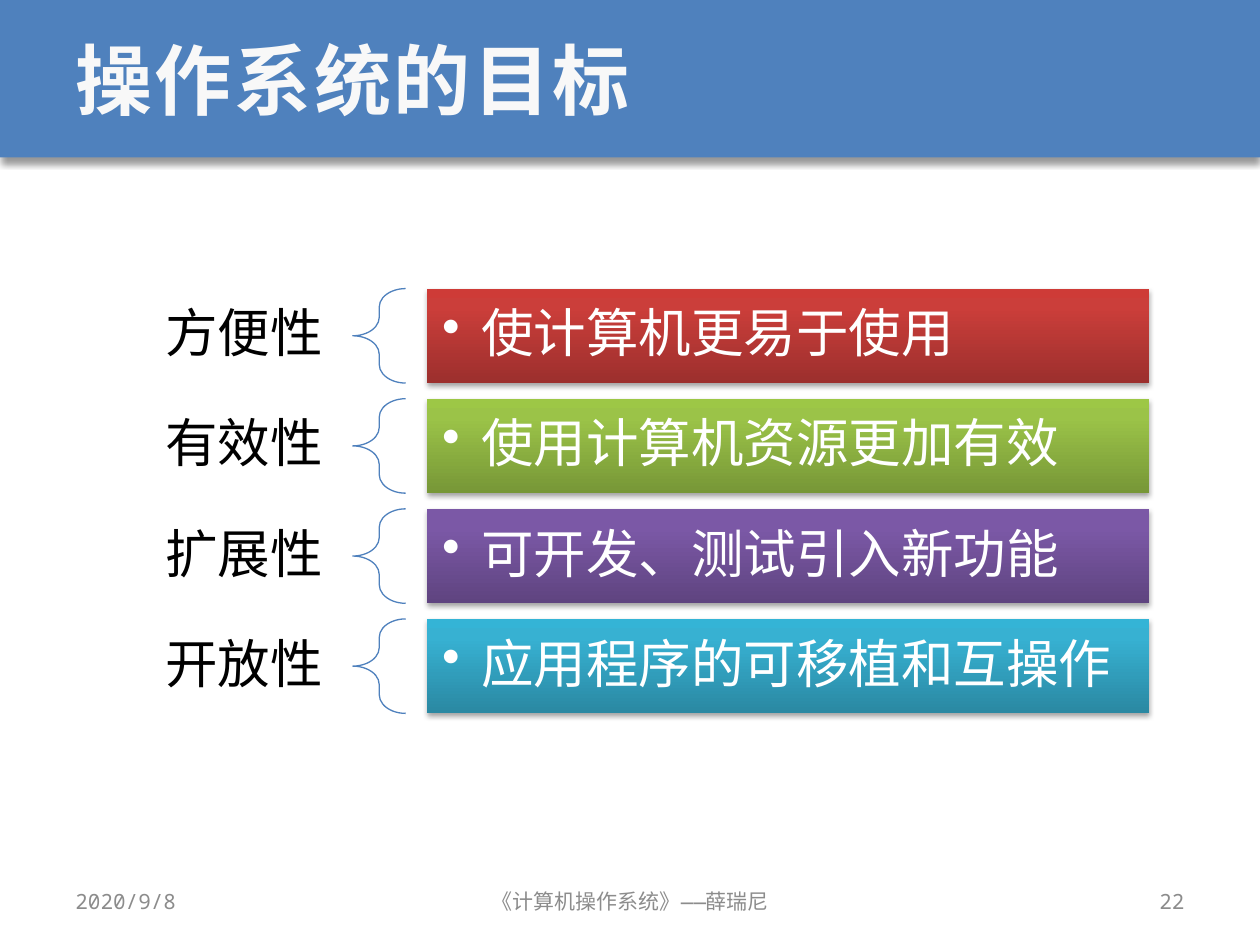
from copy import deepcopy
from dataclasses import dataclass

from lxml import etree
from pptx import Presentation
from pptx import util as u
from pptx.dml.color import RGBColor
from pptx.enum import shapes, text
from pptx.oxml.ns import qn

WIDTH, HEIGHT = 10, 7.5
COLORS = {"blue": "4F81BD", "title": "F8F8F8", "footer": "8C8C8C",
          "black": "000000", "white": "FFFFFF"}
MONO, SANS = "Noto Sans Mono", "Arial"
ALIGN = text.PP_ALIGN

# Rows of the goal list
FIRST_ROW, ROW_PITCH, ROW_HEIGHT = 2.29, 0.874, 0.75
LABEL_LEFT, LABEL_WIDTH, LABEL_HEIGHT = 0.23, 2.56, 0.67
BRACE_LEFT, BRACE_WIDTH = 2.8, 0.42
BAR_LEFT, BAR_WIDTH = 3.39, 5.73


@dataclass
class Goal:
    name: str
    detail: str
    gradient: tuple[str, str, str]  # from bottom to top


@dataclass
class Style:
    size: float
    font: str
    color: str
    align: ALIGN = ALIGN.LEFT
    bold: bool = False
    line_spacing: float = 1.0
    insets: tuple[float, float] = (0.1, 0.05)  # horizontal, vertical


GOALS = [
    Goal("方便性", "使计算机更易于使用", ("9C2F2D", "CB3E3A", "CE3B37")),
    Goal("有效性", "使用计算机资源更加有效", ("779737", "9BC348", "9DC746")),
    Goal("扩展性", "可开发、测试引入新功能", ("5F4480", "7B58A6", "7C57A8")),
    Goal("开放性", "应用程序的可移植和互操作", ("2A88A2", "37B1D2", "34B4D6")),
]
TITLE = Style(44, MONO, "title", bold=True)
LABEL = Style(30, SANS, "black", ALIGN.RIGHT, line_spacing=0.9, insets=(0.23, 0.08))
DETAIL = Style(30, SANS, "white", line_spacing=0.9, insets=(0.12, 0.12))


def rgb(value: str) -> RGBColor:
    return RGBColor.from_string(value)


def inches(*lengths: float) -> list[u.Length]:
    return [u.Inches(length) for length in lengths]


def add_text(page, words: str, place: tuple, style: Style, bullet: bool = False):
    """Add a one-paragraph text box and return its run."""
    frame = page.shapes.add_textbox(*inches(*place)).text_frame
    frame.word_wrap = True
    frame.vertical_anchor = text.MSO_ANCHOR.MIDDLE
    frame.margin_left = frame.margin_right = u.Inches(style.insets[0])
    frame.margin_top = frame.margin_bottom = u.Inches(style.insets[1])
    para = frame.paragraphs[0]
    para.text = words
    para.alignment = style.align
    para.line_spacing = style.line_spacing
    if bullet:
        para.level = 1
        props = para._p.get_or_add_pPr()
        props.set("marL", str(u.Inches(0.31)))
        props.set("indent", str(u.Inches(-0.31)))
        etree.SubElement(props, qn("a:buChar"), char="•")
    span = para.runs[0]
    span.font.size = u.Pt(style.size)
    span.font.name = style.font
    span.font.bold = style.bold
    span.font.color.rgb = rgb(COLORS[style.color])
    etree.SubElement(span._r.get_or_add_rPr(), qn("a:ea"), typeface=style.font)
    return span


def add_shadow(shape, alpha: int, blur: float, distance: float) -> None:
    """Cast a black shadow straight down."""
    shape.shadow.inherit = False
    effects = shape._element.spPr.find(qn("a:effectLst"))
    outer = etree.SubElement(effects, qn("a:outerShdw"), blurRad=str(u.Pt(blur)),
                             dist=str(u.Pt(distance)), dir="5400000", rotWithShape="0")
    black = etree.SubElement(outer, qn("a:srgbClr"), val=COLORS["black"])
    etree.SubElement(black, qn("a:alpha"), val=str(alpha * 1000))


def add_bar(page, place: tuple):
    bar = page.shapes.add_shape(shapes.MSO_SHAPE.RECTANGLE, *inches(*place))
    bar.line.fill.background()
    return bar


def fill_gradient(shape, colors: tuple[str, str, str]) -> None:
    shape.fill.gradient()
    shape.fill.gradient_angle = 90
    stop_list = shape._element.spPr.find(".//" + qn("a:gsLst"))
    stop_list.append(deepcopy(stop_list[-1]))
    for stop, position, color in zip(shape.fill.gradient_stops, (0, 0.8, 1), colors):
        stop.position = position
        stop.color.rgb = rgb(color)


def add_goal(page, goal: Goal, row: int) -> None:
    top = FIRST_ROW + row * ROW_PITCH
    label_top = top + (ROW_HEIGHT - LABEL_HEIGHT) / 2
    add_text(page, goal.name, (LABEL_LEFT, label_top, LABEL_WIDTH, LABEL_HEIGHT), LABEL)

    brace = page.shapes.add_shape(shapes.MSO_SHAPE.LEFT_BRACE,
                                  *inches(BRACE_LEFT, top, BRACE_WIDTH, ROW_HEIGHT))
    brace.adjustments[0], brace.adjustments[1] = 0.35, 0.5
    brace.fill.background()
    brace.line.color.rgb = rgb(COLORS["blue"])
    brace.line.width = u.Pt(0.75)
    brace.shadow.inherit = False

    place = (BAR_LEFT, top, BAR_WIDTH, ROW_HEIGHT)
    bar = add_bar(page, place)
    fill_gradient(bar, goal.gradient)
    add_shadow(bar, 35, 3.1, 1.8)
    add_text(page, goal.detail, place, DETAIL, bullet=True)


def main() -> None:
    deck = Presentation()
    deck.slide_width, deck.slide_height = inches(WIDTH, HEIGHT)
    page = deck.slides.add_slide(deck.slide_layouts[6])

    # Title band
    band_height = HEIGHT / 6
    band = add_bar(page, (0, 0, WIDTH, band_height))
    band.fill.solid()
    band.fill.fore_color.rgb = rgb(COLORS["blue"])
    add_shadow(band, 40, 4, 3)
    margin = WIDTH * 0.05
    title = add_text(page, "操作系统的目标",
                     (margin, 0, WIDTH - 2 * margin, band_height), TITLE)
    title._r.get_or_add_rPr().set("spc", "150")

    # Goals
    for row, goal in enumerate(GOALS):
        add_goal(page, goal, row)

    # Footer
    for words, left, width, align in [
        ("2020/9/8", 0.5, 2.33, ALIGN.LEFT),
        ("《计算机操作系统》——薛瑞尼", 3.42, 3.17, ALIGN.CENTER),
        ("22", 7.17, 2.33, ALIGN.RIGHT),
    ]:
        add_text(page, words, (left, 6.95, width, 0.4), Style(12, MONO, "footer", align))

    deck.save("out.pptx")


if __name__ == "__main__":
    main()
